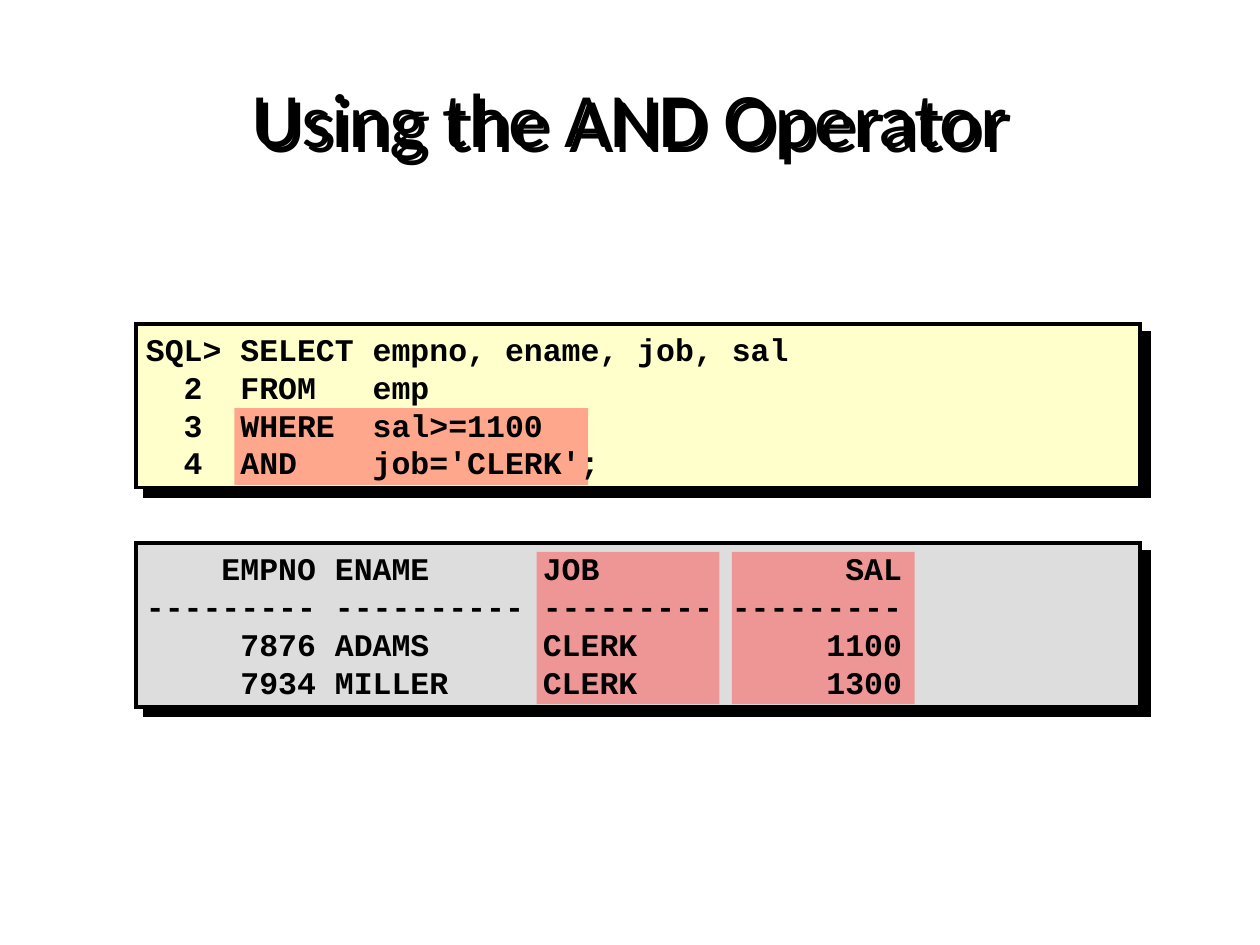
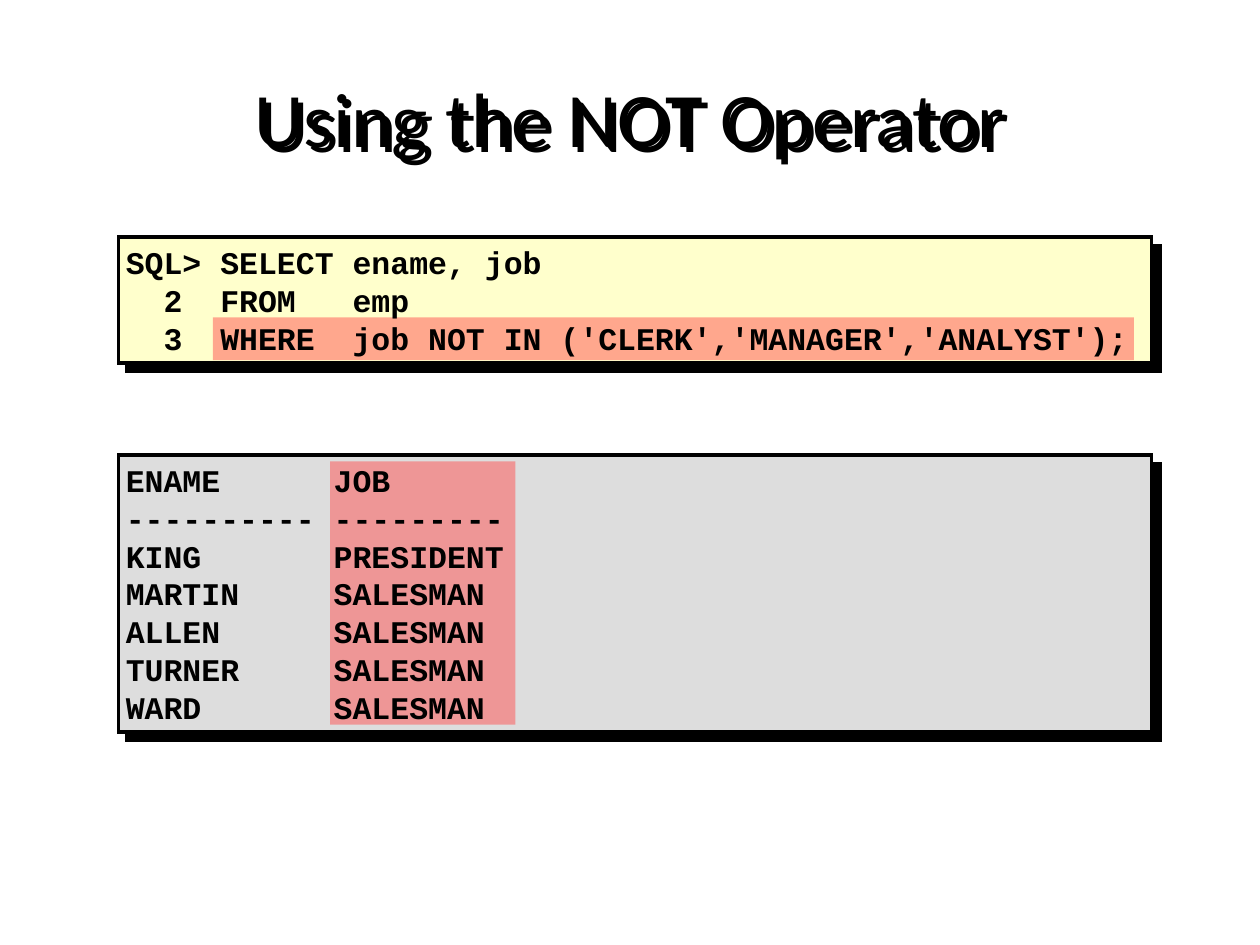
from lxml import etree
from pptx import Presentation
from pptx.dml.color import RGBColor
from pptx.enum.shapes import MSO_SHAPE
from pptx.enum.text import MSO_ANCHOR, PP_ALIGN
from pptx.oxml.ns import qn
from pptx.util import Inches, Pt

RECTANGLE = MSO_SHAPE.RECTANGLE
MIDDLE = MSO_ANCHOR.MIDDLE
LEFT, CENTER = PP_ALIGN.LEFT, PP_ALIGN.CENTER

# Content: each panel has a top, a kind, code lines and highlights.
# A highlight is (column, row, columns, rows) in character cells of its panel.
SLIDES = [
    {
        "title": "Using the AND Operator",
        "left": 1.08, "width": 7.97, "text_shift": -0.02,
        "panels": [
            (2.57, "query", [
                "SQL> SELECT empno, ename, job, sal",
                "  2  FROM   emp",
                "  3  WHERE  sal>=1100",
                "  4  AND    job='CLERK';",
            ], [(5.2, 2.23, 18.73, 2.03)]),
            (4.31, "result", [
                "    EMPNO ENAME      JOB             SAL",
                "--------- ---------- --------- ---------",
                "     7876 ADAMS      CLERK          1100",
                "     7934 MILLER     CLERK          1300",
            ], [(21.2, 0.23, 9.67, 4.03), (31.53, 0.23, 9.67, 4.03)]),
        ],
    },
    {
        "title": "Using the NOT Operator",
        "left": 0.94, "width": 8.2, "text_shift": -0.04,
        "panels": [
            (1.88, "query", [
                "SQL> SELECT ename, job",
                "  2  FROM   emp",
                "  3  WHERE  job NOT IN ('CLERK','MANAGER','ANALYST');",
            ], [(5, 2.13, 48.73, 1.13)]),
            (3.61, "result", [
                "ENAME      JOB",
                "---------- ---------",
                "KING       PRESIDENT",
                "MARTIN     SALESMAN",
                "ALLEN      SALESMAN",
                "TURNER     SALESMAN",
                "WARD       SALESMAN",
            ], [(11.2, 0.17, 9.8, 6.97)]),
        ],
    },
]

THEME = {
    "ink": RGBColor.from_string("000000"),
    "query": RGBColor.from_string("FFFFCC"),
    "result": RGBColor.from_string("DDDDDD"),
    "highlight": RGBColor.from_string("FF5050"),
    "title": {"name": "Calibri", "size": Pt(44), "bold": False},
    "code": {"name": "Courier New", "size": Pt(18), "bold": True},
    "title_shadow": 4.2,
    "panel_shadow": 7.1,
}

# Grid of the code text, in inches
CELL_WIDTH, ROW_HEIGHT = 0.15, 0.3
PANEL_PADDING = 0.1
TITLE_AREA = (0.5, 0.3, 9, 1.25)


def add_shadow(shape, distance):
    """Give a shape a hard black shadow towards the lower right."""
    effects = etree.SubElement(shape._element.spPr, qn("a:effectLst"))
    shadow = etree.SubElement(
        effects, qn("a:outerShdw"), blurRad="0", dist=str(Pt(distance)),
        dir="2700000", algn="ctr", rotWithShape="0")
    etree.SubElement(shadow, qn("a:srgbClr"), val=str(THEME["ink"]))


def add_rectangle(slide, area, color):
    shape = slide.shapes.add_shape(RECTANGLE, *map(Inches, area))
    shape.fill.solid()
    shape.fill.fore_color.rgb = color
    return shape


def write(shape, lines, style, alignment, line_spacing=None):
    frame = shape.text_frame
    frame.word_wrap = True
    frame.vertical_anchor = MIDDLE
    for index, line in enumerate(lines):
        paragraph = frame.add_paragraph() if index else frame.paragraphs[0]
        paragraph.alignment = alignment
        if line_spacing:
            paragraph.line_spacing = line_spacing
        run = paragraph.add_run()
        run.text = line
        for name, value in THEME[style].items():
            setattr(run.font, name, value)
        run.font.color.rgb = THEME["ink"]


def add_title(slide, text):
    title = slide.shapes.title
    for name, value in zip(("left", "top", "width", "height"), TITLE_AREA):
        setattr(title, name, Inches(value))
    write(title, [text], "title", CENTER)
    add_shadow(title, THEME["title_shadow"])


def add_panel(slide, area, kind):
    panel = add_rectangle(slide, area, THEME[kind])
    panel.line.color.rgb = THEME["ink"]
    panel.line.width = Pt(2)
    outline = panel._element.spPr.find(qn("a:ln"))
    etree.SubElement(outline, qn("a:miter"), lim="800000")
    add_shadow(panel, THEME["panel_shadow"])


def add_highlight(slide, left, top, cells):
    column, row, columns, rows = cells
    area = (left + column * CELL_WIDTH, top + row * ROW_HEIGHT,
            columns * CELL_WIDTH, rows * ROW_HEIGHT)
    highlight = add_rectangle(slide, area, THEME["highlight"])
    highlight.line.fill.background()
    highlight.shadow.inherit = False
    color = highlight._element.spPr.find(".//" + qn("a:srgbClr"))
    etree.SubElement(color, qn("a:alpha"), val="50000")


def build_slide(presentation, content):
    slide = presentation.slides.add_slide(presentation.slide_layouts[5])
    left, width = content["left"], content["width"]
    add_title(slide, content["title"])

    # Each panel, then its highlights, then the code on top
    for top, kind, lines, highlights in content["panels"]:
        height = len(lines) * ROW_HEIGHT + PANEL_PADDING
        add_panel(slide, (left, top, width, height), kind)
        for cells in highlights:
            add_highlight(slide, left, top, cells)
        area = (left + content["text_shift"], top, width, height)
        box = slide.shapes.add_textbox(*map(Inches, area))
        write(box, lines, "code", LEFT, Inches(ROW_HEIGHT))


def main():
    presentation = Presentation()
    presentation.slide_width = Inches(10)
    presentation.slide_height = Inches(7.5)
    for content in SLIDES:
        build_slide(presentation, content)
    presentation.save("out.pptx")


if __name__ == "__main__":
    main()
